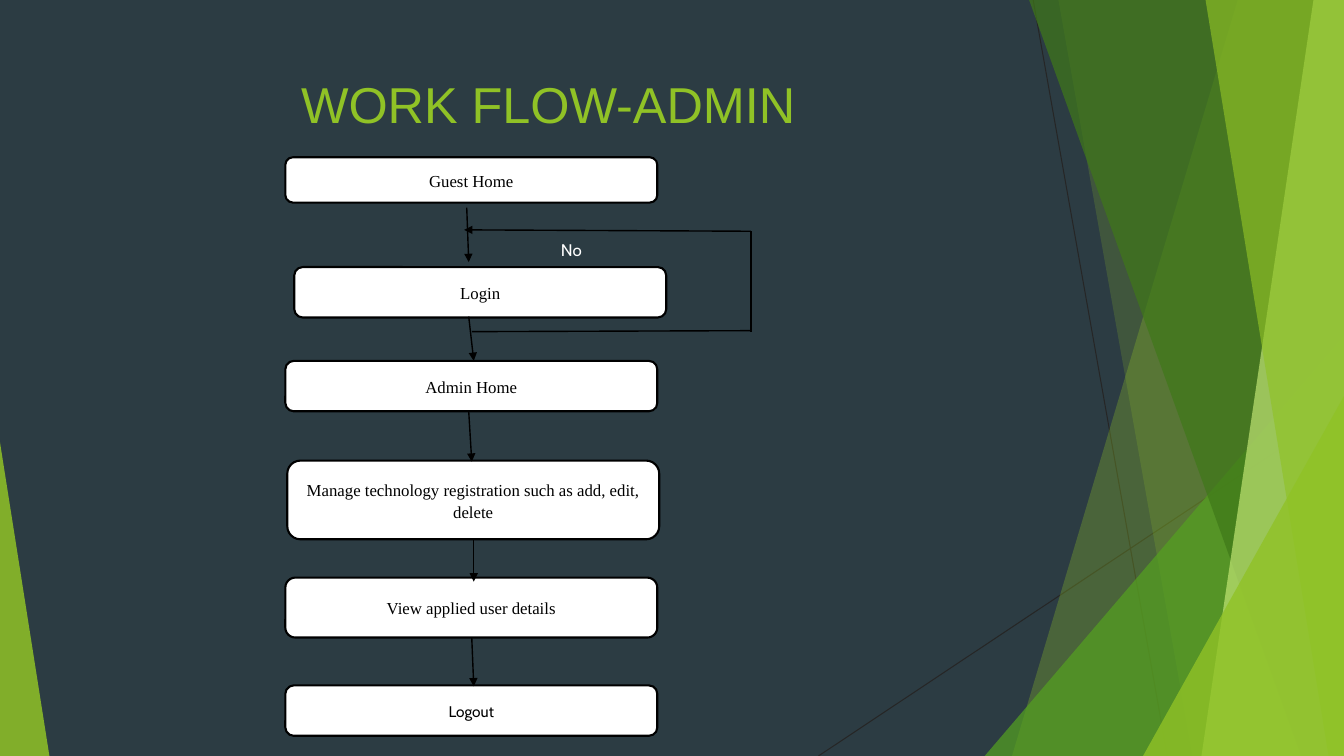
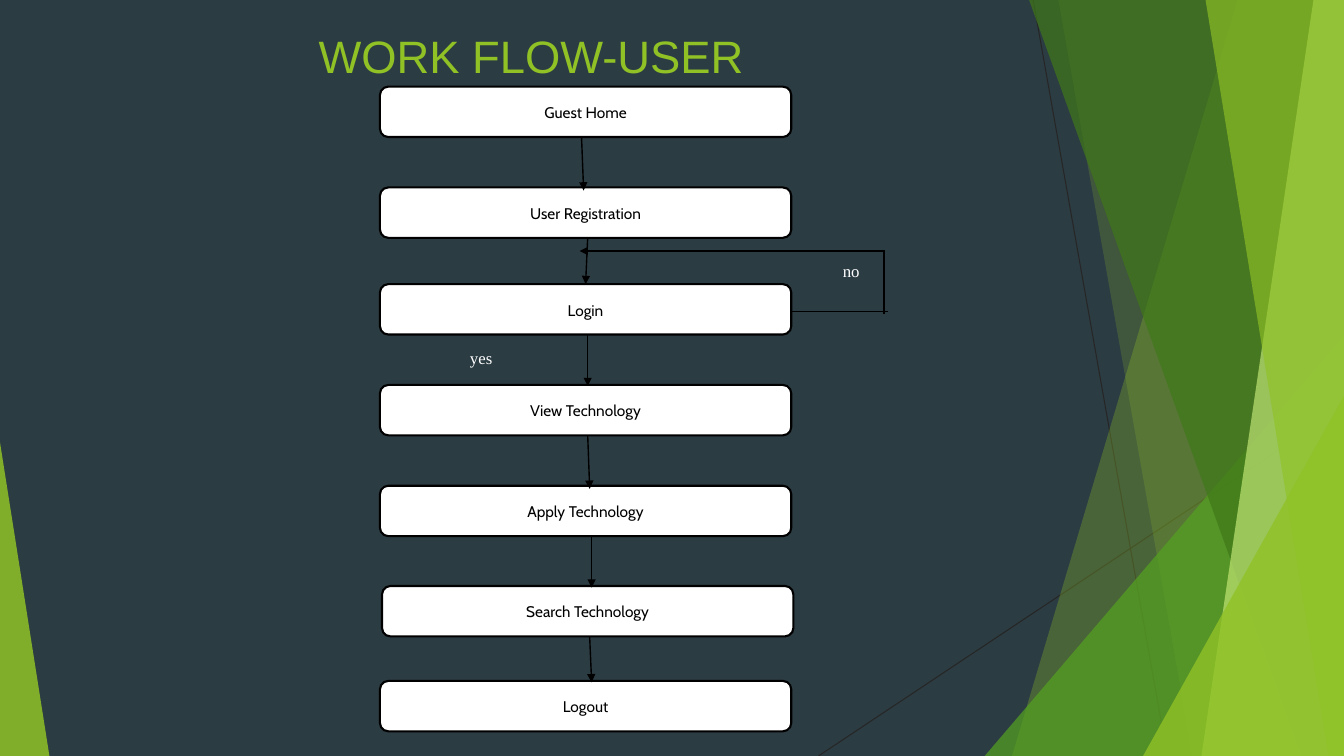
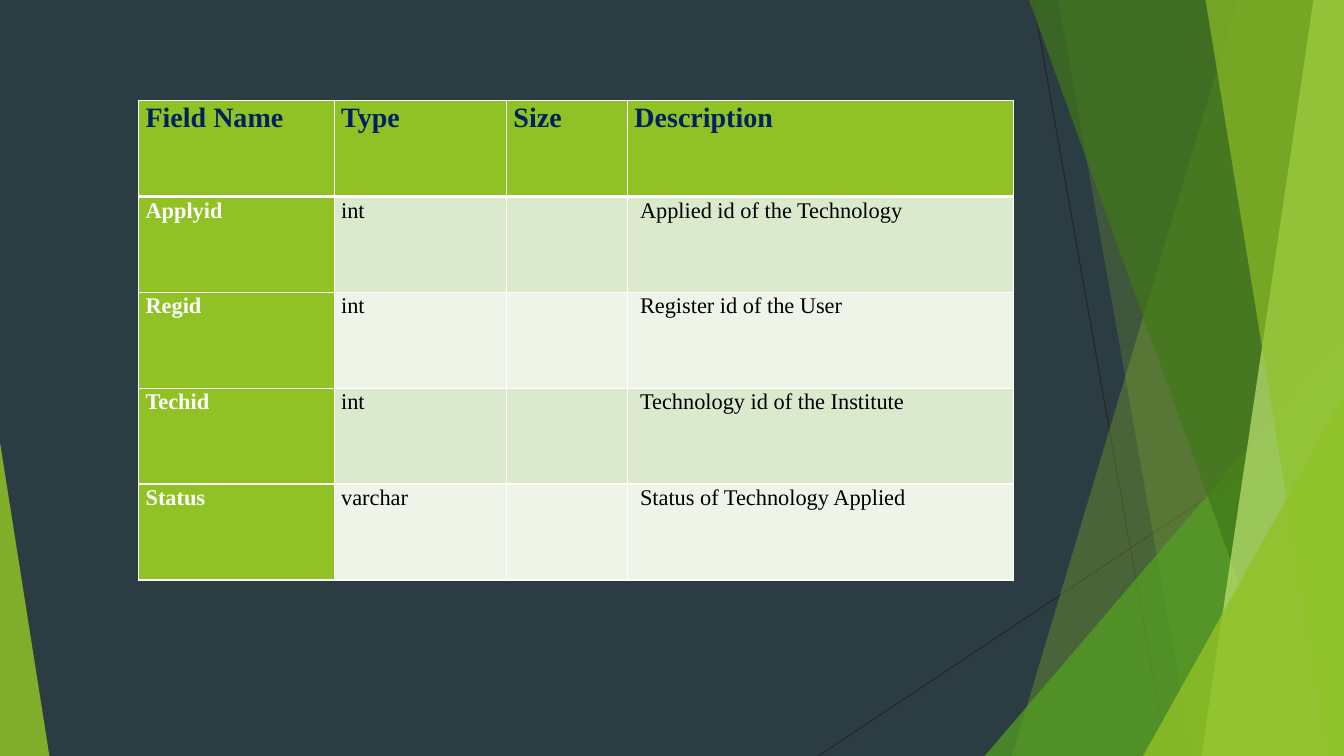
"""Build three slides: the admin work flow, the user work flow and a table of fields."""
from dataclasses import dataclass

from lxml.etree import SubElement
from pptx import Presentation
from pptx.dml.color import RGBColor
from pptx.enum.shapes import MSO_CONNECTOR, MSO_SHAPE
from pptx.enum.text import MSO_ANCHOR, PP_ALIGN
from pptx.oxml.ns import qn
from pptx.presentation import Presentation as Deck
from pptx.shapes.autoshape import Shape
from pptx.slide import Slide
from pptx.table import _Cell as Cell
from pptx.text.text import _Paragraph as Paragraph
from pptx.util import Pt

WIDTH, HEIGHT = 960, 540
COLORS = {
    "slate": "2C3C43", "lime": "90C226", "green": "54A021", "forest": "3F7819",
    "pale": "C0E474", "charcoal": "262626", "black": "000000", "white": "FFFFFF",
    "navy": "002060", "band_dark": "DBE9CD", "band_light": "EEF4E8",
}
SERIF, SANS, TITLE_FONT = "Times New Roman", "Cabin", "Arial"


@dataclass
class Style:
    font: str
    size: float
    color: str
    bold: bool = False


@dataclass
class Facet:
    """Band from the slide's top to its bottom, reaching to the right edge."""
    top_x: float
    bottom_x: float
    color: str
    opacity: int


@dataclass
class Spike:
    """Triangle standing on the slide's bottom edge."""
    left: float
    top: float
    width: float
    apex: float
    color: str
    opacity: int


@dataclass
class Label:
    text: str
    left: float
    top: float
    width: float
    style: Style
    align: PP_ALIGN = PP_ALIGN.LEFT


@dataclass
class Step:
    text: str
    left: float
    top: float
    height: float
    style: Style


@dataclass
class Link:
    x1: float
    y1: float
    x2: float
    y2: float
    arrow: bool = True
    color: str = "black"
    weight: float = 1


@dataclass
class Flow:
    labels: list[Label]
    step_width: float
    steps: list[Step]
    links: list[Link]


SERIF_STEP = Style(SERIF, 12, "black")
SANS_STEP = Style(SANS, 11, "black")
SERIF_NOTE = Style(SERIF, 12, "white")

RAYS = [
    Link(738, 0, 833.8, HEIGHT, False, "charcoal", 0.75),
    Link(WIDTH, 290.2, 584.6, HEIGHT, False, "charcoal", 0.75),
]
BACKDROP = [
    Facet(884.2, 722.9, "lime", 30),
    Facet(756, 851.8, "lime", 20),
    Spike(703.4, 239.8, 256.6, 1, "green", 72),
    Facet(735.1, 929.5, "forest", 70),
    Facet(938.2, 858.2, "pale", 70),
    Facet(861.1, 949, "lime", 65),
    Spike(816.5, 283, 143.5, 1, "lime", 80),
    Spike(0, 316, 35.3, 0, "lime", 85),
]

ADMIN = Flow(
    labels=[
        Label("WORK FLOW-ADMIN", 53.3, 52, 676.8, Style(TITLE_FONT, 36, "lime"), PP_ALIGN.CENTER),
        Label("No", 400.7, 171, 40, Style(SANS, 12, "white")),
    ],
    step_width=265.7,
    steps=[
        Step("Guest Home", 203.8, 112.3, 32.4, SERIF_STEP),
        Step("Login", 210.2, 190.8, 36, SERIF_STEP),
        Step("Admin Home", 203.8, 257.8, 36, SERIF_STEP),
        Step("Manage technology registration such as add, edit, delete",
             205.2, 329, 56.2, SERIF_STEP),
        Step("View applied user details", 203.8, 412.6, 42.8, SERIF_STEP),
        Step("Logout", 203.8, 489.6, 36, SANS_STEP),
    ],
    links=[
        Link(333.4, 148.3, 334.8, 187.2),
        Link(334.8, 226.1, 338.4, 257.8),
        Link(334.8, 293.8, 337, 329.8),
        Link(338.4, 385.2, 338.4, 415.4),
        Link(337, 455.8, 338.4, 490.3),
        Link(337, 236.9, 536.4, 236.2, False),
        Link(536.4, 236.9, 536.4, 165.2, False),
        Link(536.4, 165.2, 331.5, 164.2),
    ],
)

USER_STEPS = [
    ("Guest Home", 271.4, 61.9), ("User Registration", 271.4, 133.9),
    ("Login", 271.4, 203), ("View Technology", 271.4, 275),
    ("Apply Technology", 271.4, 347), ("Search Technology", 272.9, 418.6),
    ("Logout", 271.4, 486.4),
]
USER = Flow(
    labels=[
        Label("WORK FLOW-USER", 41, 20, 676.8, Style(TITLE_FONT, 32.4, "lime"), PP_ALIGN.CENTER),
        Label("no", 602, 186.4, 40, SERIF_NOTE),
        Label("yes", 335.7, 248.6, 40, SERIF_NOTE),
    ],
    step_width=293.8,
    steps=[Step(text, left, top, 36, SANS_STEP) for text, left, top in USER_STEPS],
    links=[
        Link(415.4, 97.9, 416.9, 136.1),
        Link(419.8, 169.9, 418.3, 203),
        Link(419.8, 239, 419.8, 275.8),
        Link(419.8, 311, 421.2, 349.2),
        Link(422.6, 383, 422.6, 419.8),
        Link(421.2, 455, 422.6, 487.4),
        Link(565.2, 222.5, 634.6, 222.5, False),
        Link(631.4, 224.6, 631.4, 178.6, False),
        Link(631.4, 179.3, 414, 179.3),
    ],
)

FIELD_COLUMNS = [139.7, 123.1, 86.4, 275.8]
FIELD_ROW_HEIGHT = 68.5
FIELDS = [
    ("Field Name", "Type", "Size", "Description"),
    ("Applyid", "int", "", "Applied id of the Technology"),
    ("Regid", "int", "", "Register id of the User"),
    ("Techid", "int", "", "Technology id of the Institute"),
    ("Status", "varchar", "", "Status of Technology Applied"),
]


def rgb(color: str) -> RGBColor:
    """Look up a named colour."""
    return RGBColor.from_string(COLORS[color])


def add_run(paragraph: Paragraph, text: str, style: Style) -> None:
    """Append one styled run."""
    run = paragraph.add_run()
    run.text = text
    run.font.name = style.font
    run.font.size = Pt(style.size)
    run.font.bold = style.bold
    run.font.color.rgb = rgb(style.color)


def paint(shape: Shape, color: str, opacity: int = 100) -> None:
    """Give a shape a plain fill with neither shadow nor outline."""
    shape.shadow.inherit = False
    shape.fill.solid()
    shape.fill.fore_color.rgb = rgb(color)
    if opacity < 100:
        tint = shape.element.spPr.find(".//" + qn("a:srgbClr"))
        SubElement(tint, qn("a:alpha"), val=str(opacity * 1000))
    shape.line.fill.background()


def draw_link(slide: Slide, link: Link) -> None:
    """Draw a straight line, with an arrowhead at its end if asked."""
    connector = slide.shapes.add_connector(
        MSO_CONNECTOR.STRAIGHT, Pt(link.x1), Pt(link.y1), Pt(link.x2), Pt(link.y2))
    connector.line.color.rgb = rgb(link.color)
    connector.line.width = Pt(link.weight)
    properties = connector.element.spPr
    if link.arrow:
        SubElement(properties.find(qn("a:ln")), qn("a:tailEnd"), type="triangle")
    SubElement(properties, qn("a:effectLst"))


def draw_facet(slide: Slide, facet: Facet) -> None:
    """Draw a slanted band."""
    outline = slide.shapes.build_freeform(Pt(facet.top_x), 0)
    corners = [(WIDTH, 0), (WIDTH, HEIGHT), (facet.bottom_x, HEIGHT)]
    outline.add_line_segments([(Pt(x), Pt(y)) for x, y in corners], close=True)
    paint(outline.convert_to_shape(), facet.color, facet.opacity)


def draw_spike(slide: Slide, spike: Spike) -> None:
    """Draw a right-angled triangle."""
    triangle = slide.shapes.add_shape(
        MSO_SHAPE.ISOSCELES_TRIANGLE, Pt(spike.left), Pt(spike.top),
        Pt(spike.width), Pt(HEIGHT - spike.top))
    triangle.adjustments[0] = spike.apex
    paint(triangle, spike.color, spike.opacity)


def draw_label(slide: Slide, label: Label) -> None:
    """Draw text without a frame."""
    frame = slide.shapes.add_textbox(
        Pt(label.left), Pt(label.top), Pt(label.width), Pt(label.style.size * 1.2)).text_frame
    frame.word_wrap = True
    frame.margin_left = frame.margin_right = frame.margin_top = frame.margin_bottom = 0
    frame.paragraphs[0].alignment = label.align
    add_run(frame.paragraphs[0], label.text, label.style)


def draw_step(slide: Slide, step: Step, width: float) -> None:
    """Draw one box of a work flow."""
    box = slide.shapes.add_shape(
        MSO_SHAPE.FLOWCHART_ALTERNATE_PROCESS,
        Pt(step.left), Pt(step.top), Pt(width), Pt(step.height))
    paint(box, "white")
    box.line.color.rgb = rgb("black")
    box.line.width = Pt(1.5)
    frame = box.text_frame
    frame.word_wrap = True
    frame.vertical_anchor = MSO_ANCHOR.MIDDLE
    paragraph = frame.paragraphs[0]
    paragraph.alignment = PP_ALIGN.CENTER
    paragraph.line_spacing = 1.07
    add_run(paragraph, step.text, step.style)


def draw_flow(slide: Slide, flow: Flow) -> None:
    """Draw a work flow with its title."""
    for label in flow.labels:
        draw_label(slide, label)
    for step in flow.steps:
        draw_step(slide, step, flow.step_width)
    for link in flow.links:
        draw_link(slide, link)


def set_borders(cell: Cell, top: float, bottom: float) -> None:
    """Give a cell white borders."""
    properties = cell._tc.get_or_add_tcPr()
    for side, weight in (("L", 1), ("R", 1), ("T", top), ("B", bottom)):
        border = SubElement(properties, qn(f"a:ln{side}"), w=str(Pt(weight)))
        fill = SubElement(border, qn("a:solidFill"))
        SubElement(fill, qn("a:srgbClr"), val=COLORS["white"])


def draw_fields(slide: Slide) -> None:
    """Draw the table of fields."""
    table = slide.shapes.add_table(
        len(FIELDS), len(FIELD_COLUMNS), Pt(99), Pt(71.8),
        Pt(sum(FIELD_COLUMNS)), Pt(FIELD_ROW_HEIGHT * len(FIELDS))).table
    for column, width in zip(table.columns, FIELD_COLUMNS):
        column.width = Pt(width)
    for r, field in enumerate(FIELDS):
        table.rows[r].height = Pt(FIELD_ROW_HEIGHT)
        for c, text in enumerate(field):
            cell = table.cell(r, c)
            if r == 0:
                fill, style = "lime", Style(SERIF, 20, "navy", True)
            elif c == 0:
                fill, style = "lime", Style(SERIF, 16, "white", True)
            else:
                fill = "band_dark" if r % 2 else "band_light"
                style = Style(SERIF, 16, "black")
            set_borders(cell, 3 if r == 1 else 1, 3 if r == 0 else 1)
            cell.fill.solid()
            cell.fill.fore_color.rgb = rgb(fill)
            cell.margin_left = Pt(9 if r and c == 3 else 5)
            cell.margin_right = Pt(5)
            cell.margin_top = cell.margin_bottom = 0
            if text:
                paragraph = cell.text_frame.paragraphs[0]
                paragraph.line_spacing = 1.07
                add_run(paragraph, text, style)


def dress_master(deck: Deck, canvas: Slide) -> None:
    """Draw the backdrop on an empty slide and move it to the master."""
    master = deck.slide_master
    master.background.fill.solid()
    master.background.fill.fore_color.rgb = rgb("slate")
    for ray in RAYS:
        draw_link(canvas, ray)
    for part in BACKDROP:
        if isinstance(part, Facet):
            draw_facet(canvas, part)
        else:
            draw_spike(canvas, part)
    for number, shape in enumerate(list(canvas.shapes), start=100):
        shape.element.find(".//" + qn("p:cNvPr")).set("id", str(number))
        master.shapes.element.append(shape.element)


def main() -> None:
    """Build and save the slides."""
    deck = Presentation()
    deck.slide_width, deck.slide_height = Pt(WIDTH), Pt(HEIGHT)
    admin, user, fields = [deck.slides.add_slide(deck.slide_layouts[6]) for _ in range(3)]
    dress_master(deck, admin)
    draw_flow(admin, ADMIN)
    draw_flow(user, USER)
    draw_fields(fields)
    deck.save("out.pptx")


if __name__ == "__main__":
    main()
